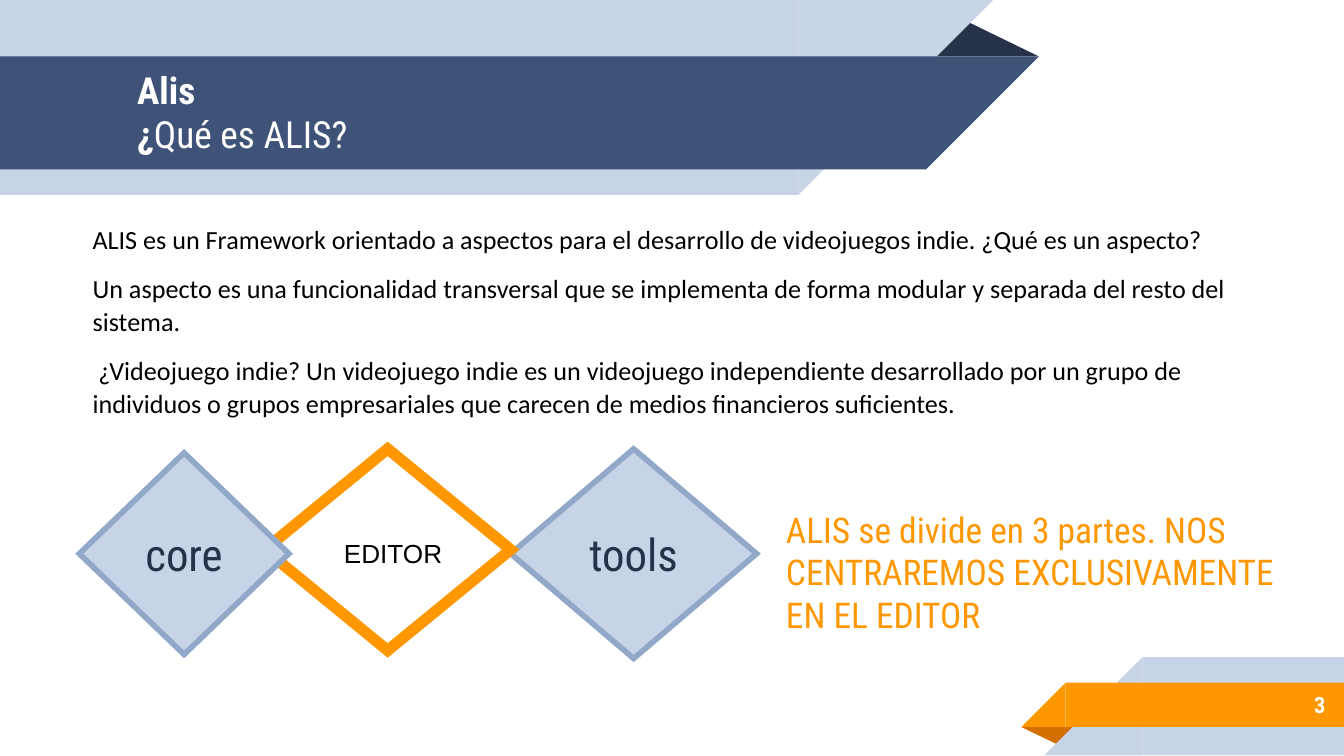
"""Build the slide that explains what ALIS is and its three parts."""
from lxml import etree
from pptx import Presentation
from pptx.dml.color import RGBColor
from pptx.enum.shapes import MSO_SHAPE
from pptx.enum.text import MSO_ANCHOR, MSO_AUTO_SIZE, PP_ALIGN
from pptx.oxml.ns import qn
from pptx.util import Inches, Pt

RECT, CORNER = MSO_SHAPE.RECTANGLE, MSO_SHAPE.RIGHT_TRIANGLE
FOLD, DIAMOND = MSO_SHAPE.ISOSCELES_TRIANGLE, MSO_SHAPE.DIAMOND
TOP, MIDDLE = MSO_ANCHOR.TOP, MSO_ANCHOR.MIDDLE
LEFT, CENTER, RIGHT = PP_ALIGN.LEFT, PP_ALIGN.CENTER, PP_ALIGN.RIGHT
NO_FIT = MSO_AUTO_SIZE.NONE
HEAD = "Roboto Condensed"
PALE, NAVY, INK, STEEL = "C7D3E6", "3F5378", "263248", "92A8C8"
ORANGE, RUST, WHITE, BLACK = "FF9800", "D26F00", "FFFFFF", "000000"


def color(code):
    return RGBColor.from_string(code)


def write(par, text, font=HEAD, size=14, tint=BLACK, bold=False, align=LEFT, after=0, line=1.0):
    par.alignment = align
    par.space_before, par.space_after, par.line_spacing = Pt(0), Pt(after), line
    run = par.add_run()
    run.text = text
    run.font.name, run.font.size, run.font.bold = font, Pt(size), bold
    run.font.color.rgb = color(tint)


prs = Presentation()
prs.slide_width = Inches(10)
prs.slide_height = prs.slide_width * 9 // 16
slide = prs.slides.add_slide(prs.slide_layouts[5])
shapes = slide.shapes

bands = [
    (FOLD, 6.88, 0.14, 0.85, 0.28, 0, INK),
    (RECT, 0, 0, 5.94, 1.45, 0, PALE),
    (CORNER, 5.94, 0, 1.45, 1.45, 90, PALE),
    (RECT, 0, 0.42, 6.89, 0.84, 0, NAVY),
    (CORNER, 6.89, 0.42, 0.84, 0.84, 90, NAVY),
    (FOLD, 7.6, 5.41, 0.43, 0.14, 180, RUST),
    (RECT, 8.5, 4.89, 1.5, 0.73, 0, PALE),
    (CORNER, 7.77, 4.89, 0.73, 0.73, 270, PALE),
    (RECT, 7.93, 5.08, 2.08, 0.33, 0, ORANGE),
    (CORNER, 7.6, 5.08, 0.33, 0.33, 270, ORANGE),
]
for kind, x, y, w, h, turn, fill in bands:
    band = shapes.add_shape(kind, Inches(x), Inches(y), Inches(w), Inches(h))
    band.shadow.inherit = False
    band.rotation = turn
    band.fill.solid()
    band.fill.fore_color.rgb = color(fill)
    band.line.fill.background()
    if kind == FOLD:
        band.adjustments[0] = 0.324

title = shapes.title
shapes.element.append(title.element)
title.left, title.top = Inches(0.92), Inches(0.41)
title.width, title.height = Inches(5.75), Inches(0.84)
frame = title.text_frame
frame.auto_size, frame.vertical_anchor = NO_FIT, MIDDLE
frame.margin_left = frame.margin_right = Inches(0.1)
frame.margin_top = frame.margin_bottom = Inches(0.1)
par = frame.paragraphs[0]
write(par, "Alis", size=20, tint=WHITE, bold=True)
par.add_line_break()
write(par, "¿", size=20, tint=WHITE, bold=True)
write(par, "Qué es ALIS?", size=20, tint=WHITE)

parts = [
    ("tools", 3.8, 3.34, 1.83, 1.56, STEEL, 3),
    ("", 1.97, 3.34, 1.83, 1.5, ORANGE, 6),
    ("core", 0.59, 3.37, 1.56, 1.5, STEEL, 3),
]
for name, x, y, w, h, edge, thick in parts:
    part = shapes.add_shape(DIAMOND, Inches(x), Inches(y), Inches(w), Inches(h))
    part.shadow.inherit = False
    part.line.color.rgb, part.line.width = color(edge), Pt(thick)
    etree.SubElement(part.element.spPr.find(qn("a:ln")), qn("a:miter"), lim="800000")
    if name:
        part.fill.solid()
        part.fill.fore_color.rgb = color(PALE)
        part.text_frame.vertical_anchor = MIDDLE
        write(part.text_frame.paragraphs[0], name, size=24, tint=INK, align=CENTER)
    else:
        part.fill.background()

intro = [
    "ALIS es un Framework orientado a aspectos para el desarrollo de videojuegos indie. ¿Qué es un aspecto?",
    "Un aspecto es una funcionalidad transversal que se implementa de forma modular y separada del resto del sistema.",
    " ¿Videojuego indie? Un videojuego indie es un videojuego independiente desarrollado por un grupo de "
    "individuos o grupos empresariales que carecen de medios financieros suficientes.",
]
focus = ["ALIS se divide en 3 partes. NOS CENTRAREMOS EXCLUSIVAMENTE EN EL EDITOR"]
notes = [
    (8.33, 5.07, 1.63, 0.35, 0.1, MIDDLE, ["3"], dict(size=12, tint=WHITE, bold=True, align=RIGHT)),
    (5.75, 3.68, 4.06, 1.3, 0.1, TOP, focus, dict(size=19, tint=ORANGE, after=10)),
    (0.59, 1.6, 8.82, 1.57, 0.05, TOP, intro, dict(font="Calibri", after=8, line=1.07)),
    (2.46, 3.95, 1.02, 0.34, 0.05, TOP, ["EDITOR"], dict(font="Arial")),
]
for x, y, w, h, pad, anchor, lines, style in notes:
    frame = shapes.add_textbox(Inches(x), Inches(y), Inches(w), Inches(h)).text_frame
    frame.word_wrap, frame.vertical_anchor = True, anchor
    frame.margin_left = frame.margin_right = Inches(0.1)
    frame.margin_top = frame.margin_bottom = Inches(pad)
    for i, text in enumerate(lines):
        par = frame.add_paragraph() if i else frame.paragraphs[0]
        write(par, text, **style)

prs.save("out.pptx")
